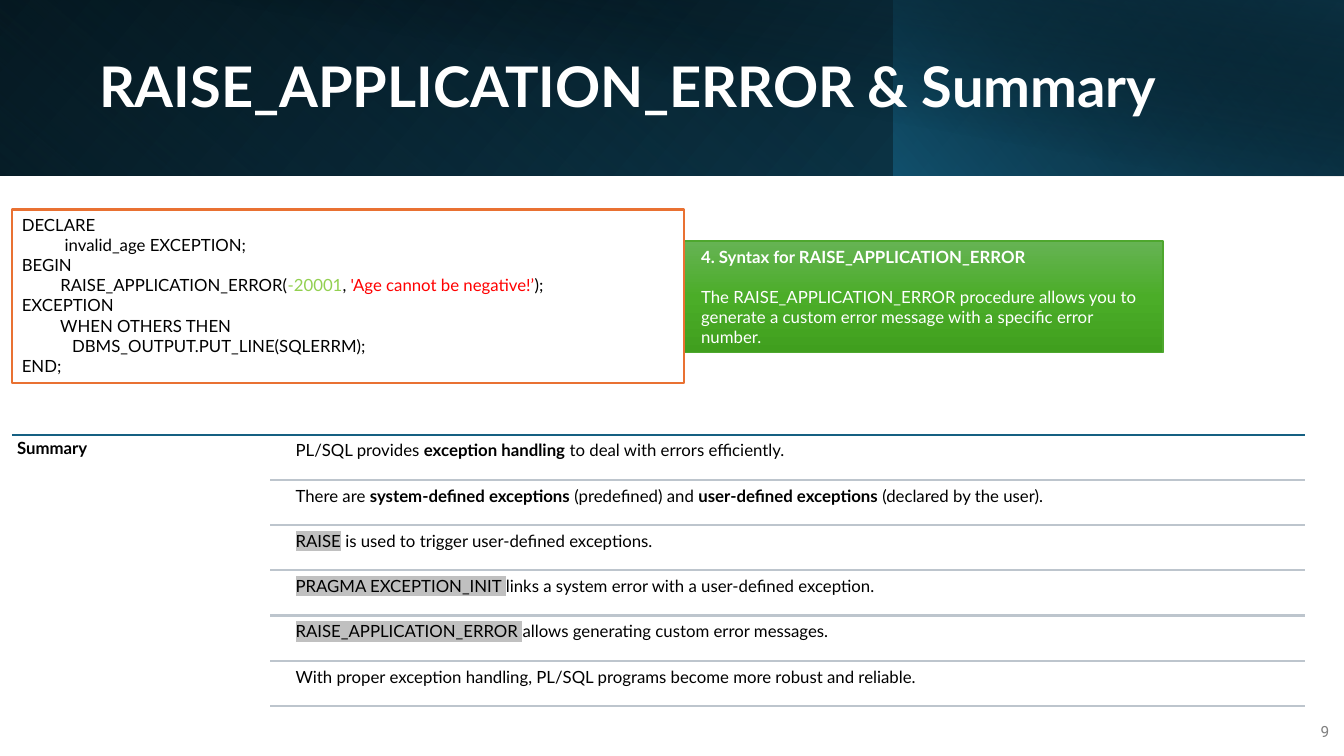
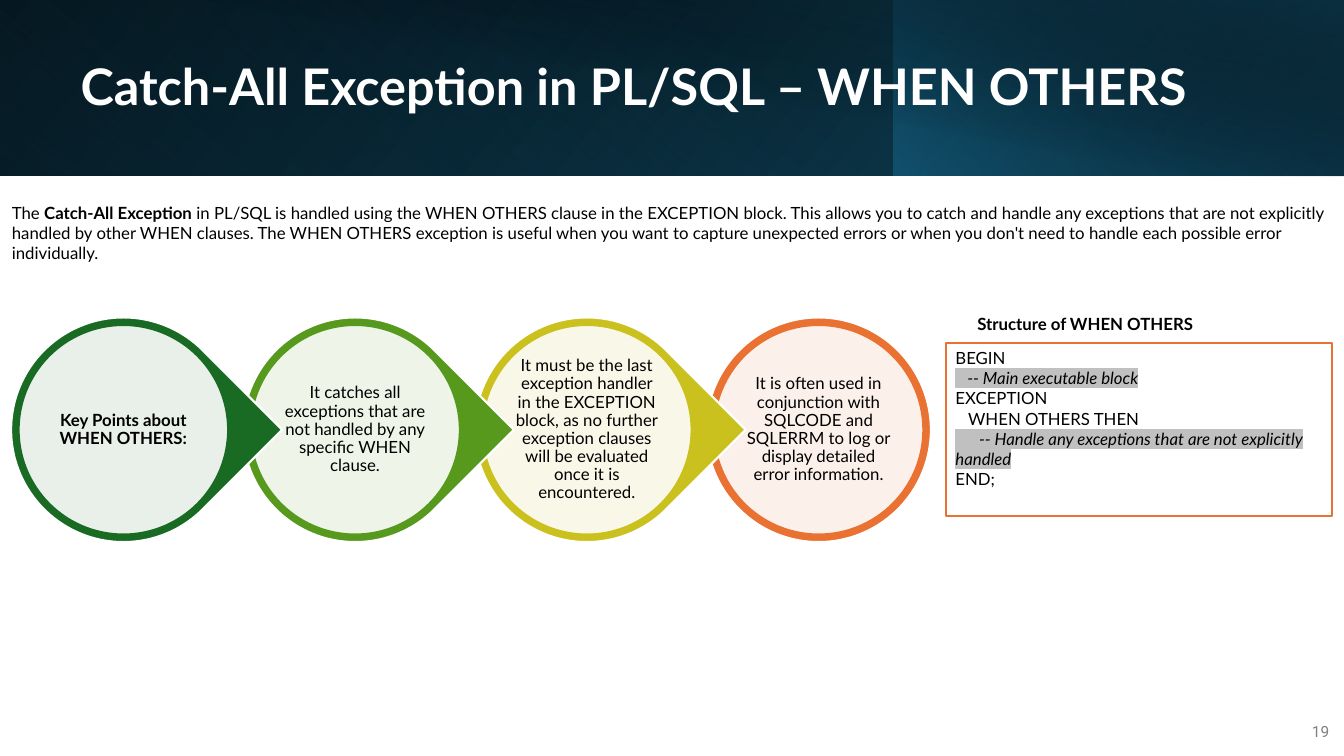
from lxml import etree
from pptx import Presentation
from pptx.dml.color import RGBColor
from pptx.enum.shapes import MSO_CONNECTOR, MSO_SHAPE
from pptx.enum.text import MSO_ANCHOR, PP_ALIGN
from pptx.oxml.ns import qn
from pptx.util import Cm, Pt

COLORS = {
    "white": "FFFFFF", "black": "000000", "page": "808080",
    "navy": "0B3041", "deep": "104862", "blue": "156082", "rule": "BDC5CD",
    "orange": "E97132", "green": "4EA72E", "mark": "C0C0C0",
    "number": "92D050", "string": "FF0000",
    "green_top": "66B354", "green_mid": "4BAD28", "green_end": "409F1E",
    "forest": "196B24", "leaf": "56991D", "mustard": "CBC11E",
}
SLIDE_WIDTH, SLIDE_HEIGHT = 33.87, 19.05
BAND_HEIGHT = 4.42

# Header layers: place, gradient stops (position, colour, opacity), angle, flip, rotation
HEADER_LAYERS = [
    ((0, 0, SLIDE_WIDTH, BAND_HEIGHT),
     [(0, "black", 100), (100, "deep", 100)], 140, True, 0),
    ((0, 0, 22.56, BAND_HEIGHT),
     [(20, "blue", 0), (100, "navy", 55)], 230, True, 180),
    ((22.53, 0, 11.34, BAND_HEIGHT),
     [(0, "blue", 66), (100, "black", 30)], 220, True, 0),
    ((1.27, 0, 32.6, 4.45),
     [(50, "black", 0), (99, "navy", 52)], 280, False, 0),
]

BOLD = {"bold": True}
MARK = {"mark": True}
COMMENT = {"italic": True, "mark": True}

RAISE_CODE = [
    ["DECLARE"],
    ["          invalid_age EXCEPTION;"],
    ["BEGIN"],
    ["         RAISE_APPLICATION_ERROR(", ("-20001", {"color": "number"}), ", ",
     ("'Age cannot be negative!’", {"color": "string"}), ");"],
    ["EXCEPTION"],
    ["         WHEN OTHERS THEN"],
    ["\tDBMS_OUTPUT.PUT_LINE(SQLERRM);"],
    ["END;"],
]
OTHERS_CODE = [
    ["BEGIN"],
    [("   -- Main executable block", COMMENT)],
    ["EXCEPTION"],
    ["   WHEN OTHERS THEN"],
    [("      -- Handle any exceptions that are not explicitly handled", COMMENT)],
    ["END;"],
]
SUMMARY = [
    ["PL/SQL provides ", ("exception handling", BOLD), " to deal with errors efficiently."],
    ["There are ", ("system-defined exceptions", BOLD), " (predefined) and ",
     ("user-defined exceptions", BOLD), " (declared by the user)."],
    [("RAISE", MARK), " is used to trigger user-defined exceptions."],
    [("PRAGMA EXCEPTION_INIT ", MARK),
     "links a system error with a user-defined exception."],
    [("RAISE_APPLICATION_ERROR ", MARK), "allows generating custom error messages."],
    ["With proper exception handling, PL/SQL programs become more robust and reliable."],
]
INTRO = [
    "The ", ("Catch-All Exception", BOLD),
    " in PL/SQL is handled using the WHEN OTHERS clause in the EXCEPTION block. "
    "This allows you to catch and handle any exceptions that are not explicitly "
    "handled by other WHEN clauses. The WHEN OTHERS exception is useful when you "
    "want to capture unexpected errors or when you don't need to handle each "
    "possible error individually.",
]
KEY_POINTS = [
    ("forest", ("Key Points about WHEN OTHERS:", BOLD)),
    ("leaf", "It catches all exceptions that are not handled by any specific WHEN clause."),
    ("mustard", "It must be the last exception handler in the EXCEPTION block, as no "
                "further exception clauses will be evaluated once it is encountered."),
    ("orange", "It is often used in conjunction with SQLCODE and SQLERRM to log or "
               "display detailed error information."),
]


def rgb(name):
    return RGBColor.from_string(COLORS[name])


def place(values):
    return [Cm(value) for value in values]


def add_color(parent, name, opacity=100):
    color = etree.SubElement(parent, qn("a:srgbClr"), val=COLORS[name])
    if opacity < 100:
        etree.SubElement(color, qn("a:alpha"), val=str(opacity * 1000))


# Text
def add_run(paragraph, text, size=12, font="Lato", color="black",
            bold=False, italic=False, mark=False):
    run = paragraph.add_run()
    run.text = text
    run.font.size = Pt(size)
    run.font.bold = bold
    run.font.italic = italic
    run.font.color.rgb = rgb(color)
    run.font.name = font
    if mark:
        fill = run.font._element.find(qn("a:solidFill"))
        highlight = etree.Element(qn("a:highlight"))
        add_color(highlight, "mark")
        fill.addnext(highlight)


def write_text(shape, paragraphs, anchor=MSO_ANCHOR.TOP, align=PP_ALIGN.LEFT,
               inset=None, spacing=None, gap=0, **style):
    """Each paragraph is a list of strings or (string, run style) pairs."""
    frame = shape.text_frame
    frame.word_wrap = True
    frame.vertical_anchor = anchor
    if inset is not None:
        frame.margin_left = frame.margin_right = Cm(inset)
        frame.margin_top = frame.margin_bottom = Cm(inset)
    for index, runs in enumerate(paragraphs):
        paragraph = frame.add_paragraph() if index else frame.paragraphs[0]
        paragraph.alignment = align
        if spacing:
            paragraph.line_spacing = spacing
        if index and gap:
            paragraph.space_before = Pt(gap)
        for item in runs:
            text, extra = (item, {}) if isinstance(item, str) else item
            add_run(paragraph, text, **{**style, **extra})


def add_text(slide, box, paragraphs, **options):
    shape = slide.shapes.add_textbox(*place(box))
    write_text(shape, paragraphs, **options)


# Shapes
def add_shape(slide, kind, box, fill, line=None, width=1.5, opacity=100):
    shape = slide.shapes.add_shape(kind, *place(box))
    shape.shadow.inherit = False
    shape.fill.solid()
    shape.fill.fore_color.rgb = rgb(fill)
    if opacity < 100:
        color = shape._element.spPr.find(qn("a:solidFill"))[0]
        etree.SubElement(color, qn("a:alpha"), val=str(opacity * 1000))
    if line:
        shape.line.color.rgb = rgb(line)
        shape.line.width = Pt(width)
    else:
        shape.line.fill.background()
    return shape


def set_gradient(shape, stops, angle):
    gradient = etree.Element(qn("a:gradFill"), rotWithShape="1")
    stop_list = etree.SubElement(gradient, qn("a:gsLst"))
    for position, color, opacity in stops:
        stop = etree.SubElement(stop_list, qn("a:gs"), pos=str(position * 1000))
        add_color(stop, color, opacity)
    etree.SubElement(gradient, qn("a:lin"), ang=str(angle * 60000), scaled="0")
    properties = shape._element.spPr
    properties.replace(properties.find(qn("a:solidFill")), gradient)


def add_rule(slide, left, right, top, color):
    rule = slide.shapes.add_connector(
        MSO_CONNECTOR.STRAIGHT, Cm(left), Cm(top), Cm(right), Cm(top))
    rule.line.color.rgb = rgb(color)
    rule.line.width = Pt(1.5)
    etree.SubElement(rule._element.spPr, qn("a:effectLst"))


def add_code(slide, box, lines):
    shape = add_shape(slide, MSO_SHAPE.RECTANGLE, box, "white", "orange")
    write_text(shape, lines)


# Header band, title and page number shared by the slides
def add_slide(presentation, title, title_size, page):
    slide = presentation.slides.add_slide(presentation.slide_layouts[6])
    for box, stops, angle, flipped, rotation in HEADER_LAYERS:
        layer = add_shape(slide, MSO_SHAPE.RECTANGLE, box, "black")
        set_gradient(layer, stops, angle)
        layer.rotation = rotation
        if flipped:
            layer._element.spPr.find(qn("a:xfrm")).set("flipH", "1")
    add_text(slide, (0.64, 0.81, 30.66, 2.87), [[title]], anchor=MSO_ANCHOR.MIDDLE,
             align=PP_ALIGN.CENTER, spacing=0.9, size=title_size, color="white", bold=True)
    add_text(slide, (32.51, 17.93, 1.24, 1.02), [[page]], anchor=MSO_ANCHOR.MIDDLE,
             align=PP_ALIGN.RIGHT, size=11, font="Roboto", color="page")
    return slide


def add_summary(slide):
    left, text_left, right, top, pitch = 0.3, 7.32, 32.89, 10.97, 1.14
    add_rule(slide, left, right, top, "blue")
    add_text(slide, (left, top, 6.53, 6.86), [[("Summary", BOLD)]], inset=0.13, spacing=0.9)
    for index, runs in enumerate(SUMMARY):
        row_top = top + 0.05 + index * pitch
        add_text(slide, (text_left, row_top, right - text_left, 1.09), [runs],
                 inset=0.13, spacing=0.9)
        add_rule(slide, 6.81, right, row_top + 1.07, "rule")


def add_key_points(slide):
    left, top, pitch, outer, inner, label = 0.28, 8, 5.84, 5.66, 5.28, 3.76

    def centred(index, size):
        margin = (outer - size) / 2
        return left + index * pitch + margin, top + margin, size, size

    # Right to left, so that each tip lies over the next circle
    last = len(KEY_POINTS) - 1
    for index, (color, text) in reversed(list(enumerate(KEY_POINTS))):
        kind = MSO_SHAPE.OVAL if index == last else MSO_SHAPE.TEAR
        drop = add_shape(slide, kind, centred(index, outer), color, "white")
        drop.rotation = 0 if index == last else 45
        add_shape(slide, MSO_SHAPE.OVAL, centred(index, inner), "white", color, opacity=90)
        add_text(slide, centred(index, label), [[text]], anchor=MSO_ANCHOR.MIDDLE,
                 align=PP_ALIGN.CENTER, inset=0.05, spacing=0.9)


def build_raise_slide(presentation):
    slide = add_slide(presentation, "RAISE_APPLICATION_ERROR & Summary ", 40, "9")
    syntax = add_shape(slide, MSO_SHAPE.RECTANGLE, (14.88, 6.07, 14.43, 2.82),
                       "green", "green", width=1)
    set_gradient(syntax, [(0, "green_top", 100), (50, "green_mid", 100),
                          (100, "green_end", 100)], 90)
    write_text(syntax, [
        [("4. Syntax for RAISE_APPLICATION_ERROR", BOLD)],
        ["The RAISE_APPLICATION_ERROR procedure allows you to generate a custom "
         "error message with a specific error number."],
    ], anchor=MSO_ANCHOR.MIDDLE, gap=14.4, color="white")
    syntax.text_frame.margin_left = Cm(2.79)
    add_code(slide, (0.3, 5.28, 16.94, 4.37), RAISE_CODE)
    add_summary(slide)


def build_others_slide(presentation):
    slide = add_slide(presentation, "Catch-All Exception in PL/SQL – WHEN OTHERS", 36, "19")
    add_text(slide, (0.05, 4.98, 33.71, 2.31), [INTRO])
    add_key_points(slide)
    add_text(slide, (24.38, 7.77, 8.64, 0.76), [[("Structure of WHEN OTHERS", BOLD)]])
    add_code(slide, (23.83, 8.64, 9.75, 4.37), OTHERS_CODE)


def main():
    presentation = Presentation()
    presentation.slide_width = Cm(SLIDE_WIDTH)
    presentation.slide_height = Cm(SLIDE_HEIGHT)
    build_raise_slide(presentation)
    build_others_slide(presentation)
    presentation.save("out.pptx")


if __name__ == "__main__":
    main()
